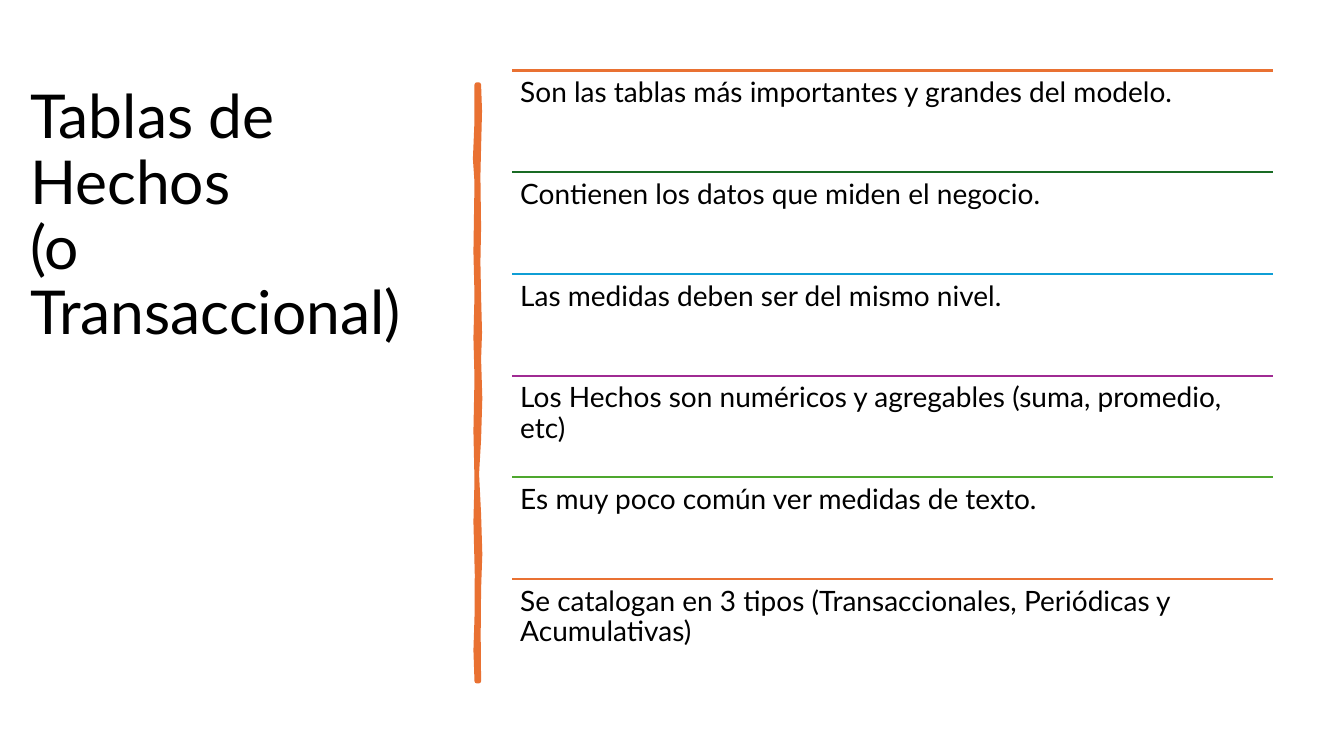
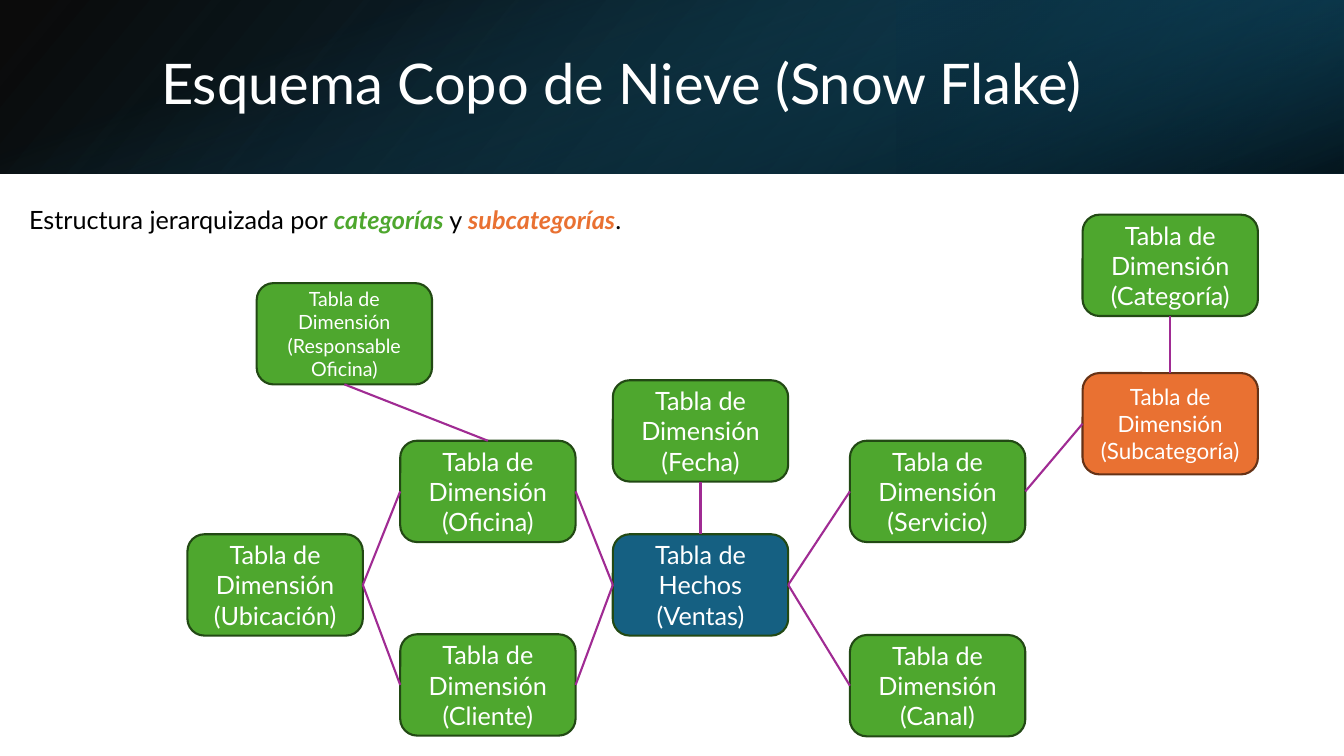
from dataclasses import dataclass
from enum import IntEnum
from typing import Optional

from lxml.etree import SubElement
from pptx import Presentation
from pptx.dml.color import RGBColor
from pptx.enum.shapes import MSO_CONNECTOR, MSO_SHAPE
from pptx.enum.text import MSO_ANCHOR, PP_ALIGN
from pptx.oxml.ns import qn
from pptx.shapes.autoshape import Shape
from pptx.shapes.connector import Connector
from pptx.slide import Slide
from pptx.text.text import TextFrame
from pptx.util import Emu, Inches, Pt

SLIDE_W, SLIDE_H = Inches(13.33), Inches(7.5)


@dataclass(frozen=True)
class Theme:
    font: str = "Lato"
    black: str = "000000"
    white: str = "FFFFFF"
    orange: str = "E97132"
    orange_edge: str = "663216"
    forest: str = "196B24"
    sky: str = "0F9ED5"
    purple: str = "A02B93"
    green: str = "4EA72E"
    green_edge: str = "224914"
    blue: str = "156082"
    navy: str = "0B3041"
    teal: str = "104862"
    side_title: float = 43.2
    band_title: float = 40
    point: float = 20
    body: float = 18
    rule: float = 1.5
    brush: float = 3.25


THEME = Theme()


class Side(IntEnum):
    TOP = 0
    LEFT = 1
    BOTTOM = 2
    RIGHT = 3


@dataclass(frozen=True)
class Box:
    """Place and size in percent of the slide."""
    left: float
    top: float
    width: float
    height: float

    def emu(self) -> tuple[Emu, Emu, Emu, Emu]:
        return (across(self.left), down(self.top),
                across(self.width), down(self.height))


@dataclass(frozen=True)
class Point:
    text: str
    color: str


@dataclass(frozen=True)
class Phrase:
    text: str
    color: str = THEME.black
    strong: bool = False


@dataclass(frozen=True)
class Entity:
    name: str
    left: float
    top: float
    kind: str = "Dimensión"
    fill: str = THEME.green
    edge: str = THEME.green_edge
    size: float = THEME.body


@dataclass(frozen=True)
class Relation:
    start: str
    start_side: Side
    end: str
    end_side: Side


@dataclass(frozen=True)
class Stop:
    position: int
    color: str
    opacity: int


@dataclass(frozen=True)
class Glow:
    """One gradient layer of the title band; the box is unrotated."""
    box: Box
    stops: tuple[Stop, Stop]
    angle: int
    rotation: int = 0
    flipped: bool = False


BAND_H = 22.93
BAND_ON_END = Box(43.5, -77.4, 12.9, 177.73)
GLOWS = (
    Glow(Box(0, 0, 100, BAND_H),
         (Stop(0, THEME.black, 96), Stop(100, THEME.teal, 100)), 140, flipped=True),
    Glow(Box(66.7, 0, 33.3, BAND_H),
         (Stop(19, THEME.navy, 68), Stop(100, THEME.blue, 79)), 320, 180, True),
    Glow(BAND_ON_END,
         (Stop(23, THEME.blue, 0), Stop(99, THEME.black, 74)), 340, 90),
)

POINTS = (
    Point("Son las tablas más importantes y grandes del modelo.", THEME.orange),
    Point("Contienen los datos que miden el negocio.", THEME.forest),
    Point("Las medidas deben ser del mismo nivel.", THEME.sky),
    Point("Los Hechos son numéricos y agregables (suma, promedio, etc)", THEME.purple),
    Point("Es muy poco común ver medidas de texto.", THEME.green),
    Point("Se catalogan en 3 tipos (Transaccionales, Periódicas y Acumulativas)",
          THEME.orange),
)
FIRST_POINT = Box(38.11, 9.33, 56.64, 13.45)

# Outline of the brush stroke, clockwise, in percent of the slide
BRUSH = (
    (35.63, 11.2), (35.7, 14.7), (35.63, 19.5), (35.58, 23.3), (35.63, 30.1),
    (35.58, 34.7), (35.63, 39.2), (35.7, 44), (35.63, 47.5), (35.72, 52.7),
    (35.63, 58.1), (35.48, 62.7), (35.63, 68), (35.72, 73.3), (35.63, 77.9),
    (35.6, 84), (35.63, 90.1), (35.48, 90.1), (35.4, 86), (35.48, 81.7),
    (35.5, 76), (35.4, 69), (35.48, 63.6), (35.4, 57), (35.48, 50),
    (35.4, 44.7), (35.48, 39), (35.4, 33.3), (35.48, 24.1), (35.36, 21),
    (35.48, 16), (35.48, 11.2),
)

SUMMARY = (
    Phrase("Estructura jerarquizada por "),
    Phrase("categorías", THEME.green, True),
    Phrase(" y "),
    Phrase("subcategorías", THEME.orange, True),
    Phrase("."),
)

ENTITY_W, ENTITY_H = 13.05, 13.4
ENTITIES = (
    Entity("Canal", 63.24, 84),
    Entity("Servicio", 63.24, 58.3),
    Entity("Fecha", 45.6, 50.3),
    Entity("Ventas", 45.6, 70.67, kind="Hechos", fill=THEME.blue),
    Entity("Cliente", 29.78, 83.9),
    Entity("Oficina", 29.78, 58.3),
    Entity("Subcategoría", 80.55, 49.35, fill=THEME.orange,
           edge=THEME.orange_edge, size=16),
    Entity("Categoría", 80.55, 28.4),
    Entity("Ubicación", 13.95, 70.67),
    Entity("Responsable Oficina", 19.1, 37.45, size=14),
)
RELATIONS = (
    Relation("Ventas", Side.TOP, "Fecha", Side.BOTTOM),
    Relation("Ventas", Side.LEFT, "Oficina", Side.RIGHT),
    Relation("Ventas", Side.LEFT, "Cliente", Side.RIGHT),
    Relation("Oficina", Side.LEFT, "Ubicación", Side.RIGHT),
    Relation("Cliente", Side.LEFT, "Ubicación", Side.RIGHT),
    Relation("Ventas", Side.RIGHT, "Servicio", Side.LEFT),
    Relation("Ventas", Side.RIGHT, "Canal", Side.LEFT),
    Relation("Servicio", Side.RIGHT, "Subcategoría", Side.LEFT),
    Relation("Subcategoría", Side.TOP, "Categoría", Side.BOTTOM),
    Relation("Oficina", Side.TOP, "Responsable Oficina", Side.BOTTOM),
)


def across(share: float) -> Emu:
    return Emu(round(SLIDE_W * share / 100))


def down(share: float) -> Emu:
    return Emu(round(SLIDE_H * share / 100))


def rgb(color: str) -> RGBColor:
    return RGBColor.from_string(color)


def write(frame: TextFrame, phrases: tuple[Phrase, ...], size: float,
          spacing: Optional[float] = None, align: PP_ALIGN = PP_ALIGN.LEFT,
          anchor: MSO_ANCHOR = MSO_ANCHOR.TOP) -> None:
    """Fill the frame with one paragraph; a newline becomes a line break."""
    frame.word_wrap = True
    frame.vertical_anchor = anchor
    paragraph = frame.paragraphs[0]
    paragraph.alignment = align
    paragraph.line_spacing = spacing
    if len(phrases) == 1:
        paragraph.text = phrases[0].text
        styled = [(run, phrases[0]) for run in paragraph.runs]
    else:
        styled = [(paragraph.add_run(), phrase) for phrase in phrases]
    for run, phrase in styled:
        if len(phrases) > 1:
            run.text = phrase.text
        run.font.name = THEME.font
        run.font.size = Pt(size)
        run.font.color.rgb = rgb(phrase.color)
        run.font.bold = run.font.italic = phrase.strong


def add_title(slide: Slide, box: Box, text: str, size: float, color: str) -> None:
    frame = slide.shapes.add_textbox(*box.emu()).text_frame
    write(frame, (Phrase(text, color),), size, 0.9, anchor=MSO_ANCHOR.MIDDLE)


def add_line(slide: Slide, color: str, left: float = 0, top: float = 0,
             width: float = 0) -> Connector:
    """Draw a level line; its ends may be joined to shapes afterwards."""
    line = slide.shapes.add_connector(
        MSO_CONNECTOR.STRAIGHT, across(left), down(top), across(left + width), down(top))
    line.line.color.rgb = rgb(color)
    line.line.width = Pt(THEME.rule)
    SubElement(line._element.spPr, qn("a:effectLst"))
    return line


def paint(shape: Shape, fill: str, edge: str, width: float) -> None:
    shape.shadow.inherit = False
    shape.fill.solid()
    shape.fill.fore_color.rgb = rgb(fill)
    shape.line.color.rgb = rgb(edge)
    shape.line.width = Pt(width)


def add_glow(slide: Slide, glow: Glow) -> None:
    layer = slide.shapes.add_shape(MSO_SHAPE.RECTANGLE, *glow.box.emu())
    layer.shadow.inherit = False
    layer.line.fill.background()
    layer.rotation = glow.rotation
    properties = layer._element.spPr
    if glow.flipped:
        properties.find(qn("a:xfrm")).set("flipH", "1")
    layer.fill.gradient()
    gradient = properties.find(qn("a:gradFill"))
    gradient.set("rotWithShape", "1")
    for child in list(gradient):
        gradient.remove(child)
    stops = SubElement(gradient, qn("a:gsLst"))
    for stop in glow.stops:
        mark = SubElement(stops, qn("a:gs"), pos=str(stop.position * 1000))
        color = SubElement(mark, qn("a:srgbClr"), val=stop.color)
        SubElement(color, qn("a:alpha"), val=str(stop.opacity * 1000))
    SubElement(gradient, qn("a:lin"), ang=str(glow.angle * 60000), scaled="0")


def add_brush(slide: Slide) -> None:
    outline = [(round(x * 100), round(y * 100)) for x, y in BRUSH]
    builder = slide.shapes.build_freeform(
        *outline[0], scale=(SLIDE_W / 10000, SLIDE_H / 10000))
    builder.add_line_segments(outline[1:], close=True)
    paint(builder.convert_to_shape(), THEME.orange, THEME.orange, THEME.brush)


def add_point(slide: Slide, row: int, point: Point) -> None:
    first = FIRST_POINT
    box = Box(first.left, first.top + row * first.height, first.width, first.height)
    add_line(slide, point.color, box.left, box.top, box.width)
    frame = slide.shapes.add_textbox(*box.emu()).text_frame
    frame.margin_left = frame.margin_right = Inches(0.08)
    frame.margin_top = frame.margin_bottom = Inches(0.08)
    write(frame, (Phrase(point.text),), THEME.point, 0.9)


def add_entity(slide: Slide, entity: Entity) -> Shape:
    box = Box(entity.left, entity.top, ENTITY_W, ENTITY_H)
    card = slide.shapes.add_shape(MSO_SHAPE.ROUNDED_RECTANGLE, *box.emu())
    paint(card, entity.fill, entity.edge, THEME.rule)
    label = Phrase(f"Tabla de {entity.kind}\n({entity.name})", THEME.white)
    write(card.text_frame, (label,), entity.size,
          align=PP_ALIGN.CENTER, anchor=MSO_ANCHOR.MIDDLE)
    return card


def build_fact_tables(slide: Slide) -> None:
    add_title(slide, Box(1.5, 9.33, 32.86, 38.8),
              "Tablas de Hechos\n(o Transaccional)", THEME.side_title, THEME.black)
    add_brush(slide)
    for row, point in enumerate(POINTS):
        add_point(slide, row, point)


def build_snowflake(slide: Slide) -> None:
    for glow in GLOWS:
        add_glow(slide, glow)
    add_title(slide, Box(11.25, 5.07, 82.37, 12.8),
              "Esquema Copo de Nieve (Snow Flake)", THEME.band_title, THEME.white)
    summary = slide.shapes.add_textbox(*Box(1.43, 26.4, 48.61, 5.33).emu())
    write(summary.text_frame, SUMMARY, THEME.body)
    cards = {entity.name: add_entity(slide, entity) for entity in ENTITIES}
    for relation in RELATIONS:
        line = add_line(slide, THEME.purple)
        line.begin_connect(cards[relation.start], relation.start_side)
        line.end_connect(cards[relation.end], relation.end_side)


def main() -> None:
    deck = Presentation()
    deck.slide_width, deck.slide_height = SLIDE_W, SLIDE_H
    blank = deck.slide_layouts[6]
    for build in (build_fact_tables, build_snowflake):
        build(deck.slides.add_slide(blank))
    deck.save("out.pptx")


if __name__ == "__main__":
    main()
